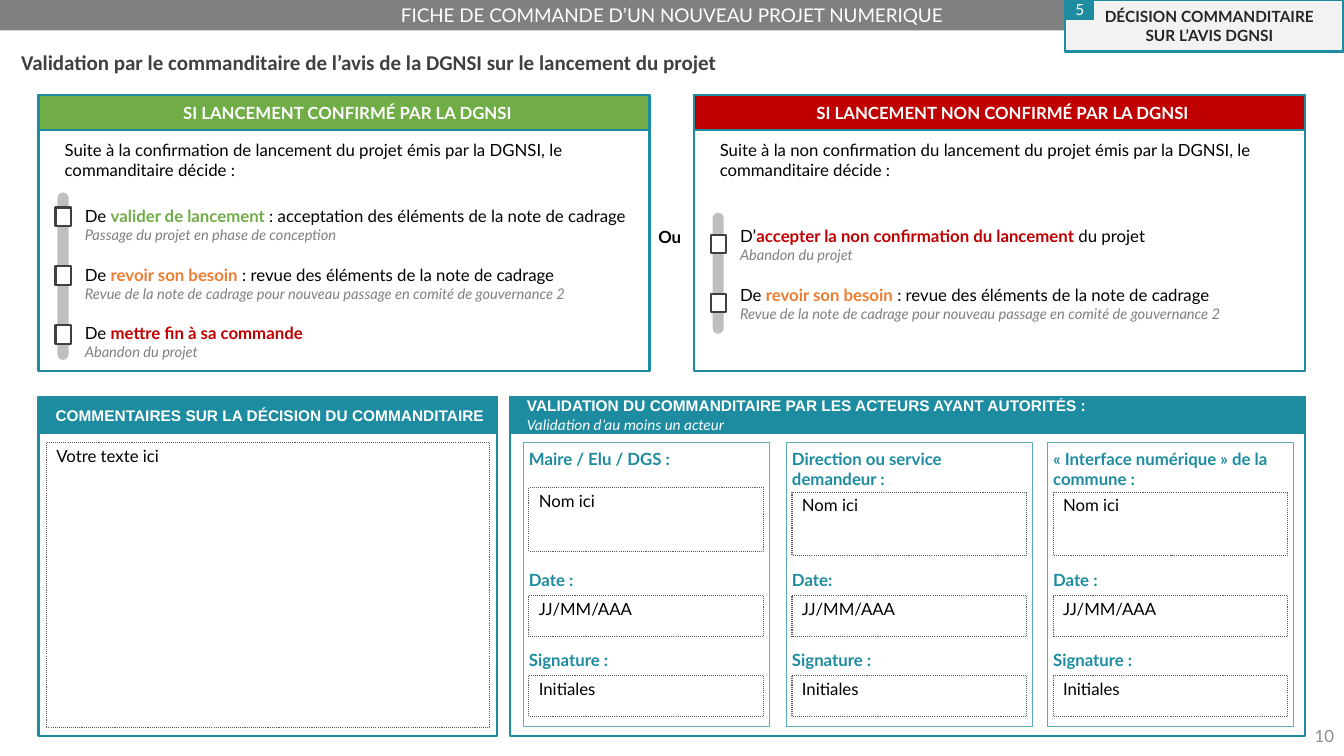
"""Build the slide on which the project sponsor validates the DGNSI opinion."""
from pptx import Presentation
from pptx.dml.color import RGBColor
from pptx.enum.dml import MSO_LINE as Dash
from pptx.enum.shapes import MSO_SHAPE as Preset
from pptx.enum.text import MSO_ANCHOR as Anchor, MSO_AUTO_SIZE as AutoSize, PP_ALIGN as Align
from pptx.util import Cm, Pt

TEAL, GREEN, RED, ORANGE = "1D8CA1", "70AD47", "C00000", "ED7D31"
BLACK, WHITE, GREY, DARK = "000000", "FFFFFF", "808080", "404040"

BANNER = "FICHE DE COMMANDE D’UN NOUVEAU PROJET NUMERIQUE"
TITLE = "Validation par le commanditaire de l’avis de la DGNSI sur le lancement du projet"
STEP_NUMBER = "5"
STEP_LINES = ["DÉCISION COMMANDITAIRE", "SUR L’AVIS DGNSI"]
PAGE_NUMBER = "10"
BETWEEN = "Ou"

REVISE = ("De ", "revoir son besoin", ORANGE, " : revue des éléments de la note de cadrage",
          "Revue de la note de cadrage pour nouveau passage en comité de gouvernance 2")
CASES = [
    {"header": "SI LANCEMENT CONFIRMÉ PAR LA DGNSI", "color": GREEN,
     "intro": "Suite à la confirmation de lancement du projet émis par la DGNSI, "
              "le commanditaire décide :",
     "rail": (4.85, 4.22), "first": 4.95, "box_drop": 0.28,
     "options": [
         ("De ", "valider de lancement ", GREEN,
          ": acceptation des éléments de la note de cadrage",
          "Passage du projet en phase de conception"),
         REVISE,
         ("De ", "mettre fin à sa commande", RED, "", "Abandon du projet")]},
    {"header": "SI LANCEMENT NON CONFIRMÉ PAR LA DGNSI", "color": RED,
     "intro": "Suite à la non confirmation du lancement du projet émis par la DGNSI, "
              "le commanditaire décide :",
     "rail": (5.36, 3.05), "first": 5.46, "box_drop": 0.46,
     "options": [
         ("D’", "accepter la non confirmation du lancement ", RED, "du projet",
          "Abandon du projet"),
         REVISE]},
]

COMMENTS = "COMMENTAIRES SUR LA DÉCISION DU COMMANDITAIRE"
COMMENT_HINT = "Votre texte ici"
VALIDATION = "VALIDATION DU COMMANDITAIRE PAR LES ACTEURS AYANT AUTORITÉS :"
VALIDATION_NOTE = "Validation d’au moins un acteur"
ACTORS = [
    {"role": "Maire / Elu / DGS :", "date": "Date :", "left": 13.18, "name_top": 12.29, "gap": 72},
    {"role": "Direction ou service demandeur :", "date": "Date:",
     "left": 19.81, "name_top": 12.4, "gap": 57.6},
    {"role": "« Interface numérique » de la commune :", "date": "Date :",
     "left": 26.39, "name_top": 12.4, "gap": 57.6},
]
SIGNATURE = "Signature :"

CASE_LEFT, CASE_TOP, CASE_WIDTH, CASE_HEIGHT = 0.97, 2.39, 15.4, 6.96
CASE_PITCH, OPTION_PITCH, HEADER_HEIGHT = 16.51, 1.485, 0.89
FORM_TOP, FORM_HEIGHT, FIELD_TOP = 10.01, 8.53, 11.15
TIGHT = (0.08, 0.08, 0.08, 0.08)
NORMAL = (0.25, 0.13, 0.25, 0.13)


def color(value):
    return RGBColor.from_string(value)


def apply(target, values):
    for name, value in values.items():
        setattr(target, name, value)


def run(text, ink=BLACK, size=12, font="Lato", **style):
    return text, ink, {"size": Pt(size), "name": font, **style}


def line(*runs, margin=0, **settings):
    return runs, margin, settings


def write(frame, lines, anchor=Anchor.TOP, insets=NORMAL, wrap=True):
    sides = ("margin_left", "margin_top", "margin_right", "margin_bottom")
    apply(frame, {"auto_size": AutoSize.NONE, "word_wrap": wrap, "vertical_anchor": anchor,
                  **{side: Cm(inset) for side, inset in zip(sides, insets)}})
    for index, (runs, margin, settings) in enumerate(lines):
        paragraph = frame.add_paragraph() if index else frame.paragraphs[0]
        apply(paragraph, {"alignment": Align.LEFT, **settings})
        if margin:
            paragraph._p.get_or_add_pPr().set("marL", str(Cm(margin)))
        for text, ink, style in runs:
            part = paragraph.add_run()
            part.text = text
            apply(part.font, style)
            part.font.color.rgb = color(ink)


def add_text(slide, box, lines, **layout):
    write(slide.shapes.add_textbox(*map(Cm, box)).text_frame, lines, **layout)


def add_block(slide, box, lines=(), fill=None, border=None, width=1.5, dash=None,
              preset=Preset.RECTANGLE, **layout):
    shape = slide.shapes.add_shape(preset, *map(Cm, box))
    shape.shadow.inherit = False
    if fill:
        shape.fill.solid()
        shape.fill.fore_color.rgb = color(fill)
    else:
        shape.fill.background()
    if border:
        shape.line.color.rgb = color(border)
        apply(shape.line, {"width": Pt(width), "dash_style": dash})
    else:
        shape.line.fill.background()
    if lines:
        write(shape.text_frame, lines, **layout)
    return shape


def add_field(slide, box, hint):
    add_block(slide, box, [line(run(hint), line_spacing=0.9, space_before=Pt(5.6))],
              border="595959", width=0, dash=Dash.ROUND_DOT)


def add_panel(slide, box, header_lines, fill):
    left, top, width, height = box
    add_block(slide, (left, top, width, HEADER_HEIGHT), header_lines, fill, TEAL,
              anchor=Anchor.MIDDLE)
    add_block(slide, box, border=TEAL)


def add_case(slide, case, shift):
    header = line(run(case["header"], WHITE, bold=True), margin=0.18, alignment=Align.CENTER)
    add_panel(slide, (CASE_LEFT + shift, CASE_TOP, CASE_WIDTH, CASE_HEIGHT), [header],
              case["color"])
    add_text(slide, (1.55 + shift, 3.45, 14.22, 0.97), [line(run(case["intro"]))], insets=TIGHT)
    rail_top, rail_height = case["rail"]
    rail = add_block(slide, (1.45 + shift, rail_top, 0.28, rail_height), fill="BFBFBF",
                     preset=Preset.ROUNDED_RECTANGLE)
    rail.adjustments[0] = 0.5
    for index, (start, choice, ink, rest, outcome) in enumerate(case["options"]):
        top = case["first"] + index * OPTION_PITCH
        add_block(slide, (1.4 + shift, top + case["box_drop"], 0.38, 0.46), fill=WHITE,
                  border=DARK)
        runs = [run(start), run(choice, ink, bold=True)] + ([run(rest)] if rest else [])
        add_text(slide, (2.06 + shift, top, 14.3, 1.4),
                 [line(*runs), line(run(outcome, GREY, 10.5, italic=True))],
                 anchor=Anchor.MIDDLE, insets=TIGHT)


def add_actor(slide, actor):
    labels = [(actor["role"], 0), (actor["date"], actor["gap"]), (SIGNATURE, 43.2)]
    add_block(slide, (actor["left"], FIELD_TOP, 6.2, 7.14),
              [line(run(text, TEAL, bold=True), space_before=Pt(gap)) for text, gap in labels],
              border="5DACBC", width=0.25, insets=(0.15, 0.15, 0.15, 0.08))
    fields = [("Nom ici", actor["name_top"], 1.6), ("JJ/MM/AAA", 15.01, 1.04),
              ("Initiales", 17.02, 1.04)]
    for hint, top, height in fields:
        add_field(slide, (actor["left"] + 0.15, top, 5.92, height), hint)


def add_heading(slide):
    centred = {"alignment": Align.CENTER}
    add_block(slide, (0, 0, 33.87, 0.77), [line(run(BANNER, WHITE, 13.5), **centred)], GREY,
              anchor=Anchor.MIDDLE)
    add_block(slide, (26.85, 0, 7.01, 1.3),
              [line(run(text, "262626", 11, bold=True), margin=0.25, **centred)
               for text in STEP_LINES],
              "F2F2F2", TEAL, anchor=Anchor.MIDDLE, insets=TIGHT)
    add_block(slide, (26.85, 0, 0.71, 0.48), [line(run(STEP_NUMBER, WHITE, 11), **centred)],
              TEAL, TEAL, 1, anchor=Anchor.MIDDLE)
    title = slide.shapes.title
    apply(title, {"left": Cm(0.28), "top": Cm(1.12), "width": Cm(18.26), "height": Cm(0.89)})
    write(title.text_frame, [line(run(TITLE, DARK, 15, "Calibri", bold=True))], wrap=False)


def main():
    presentation = Presentation()
    apply(presentation, {"slide_width": Cm(33.87), "slide_height": Cm(19.05)})
    slide = presentation.slides.add_slide(presentation.slide_layouts[5])
    add_heading(slide)
    for index, case in enumerate(CASES):
        add_case(slide, case, index * CASE_PITCH)
    add_text(slide, (16.51, 5.64, 1.45, 0.81), [line(run(BETWEEN, bold=True))], insets=TIGHT)
    add_panel(slide, (CASE_LEFT, FORM_TOP, 11.56, FORM_HEIGHT),
              [line(run(COMMENTS, WHITE, 11, "Arial", bold=True), margin=0.18)], TEAL)
    add_field(slide, (1.17, FIELD_TOP, 11.18, 7.19), COMMENT_HINT)
    add_panel(slide, (12.85, FORM_TOP, 20.04, FORM_HEIGHT),
              [line(run(VALIDATION, WHITE, 11, "Arial", bold=True), margin=0.18),
               line(run(VALIDATION_NOTE, WHITE, 11, "Calibri", italic=True), margin=0.18)], TEAL)
    for actor in ACTORS:
        add_actor(slide, actor)
    add_text(slide, (26.25, 18.03, 7.62, 1.02),
             [line(run(PAGE_NUMBER, "8C8C8C"), alignment=Align.RIGHT)], anchor=Anchor.MIDDLE)
    presentation.save("out.pptx")


if __name__ == "__main__":
    main()
